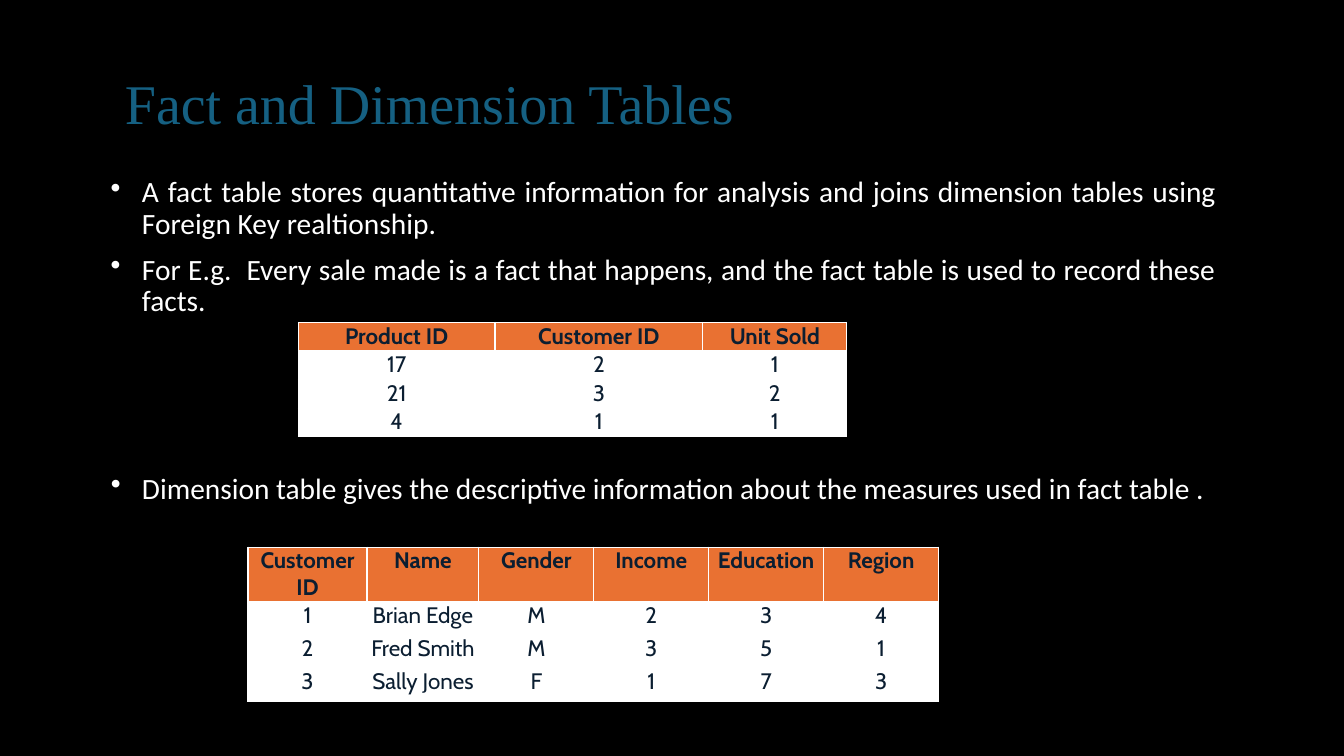
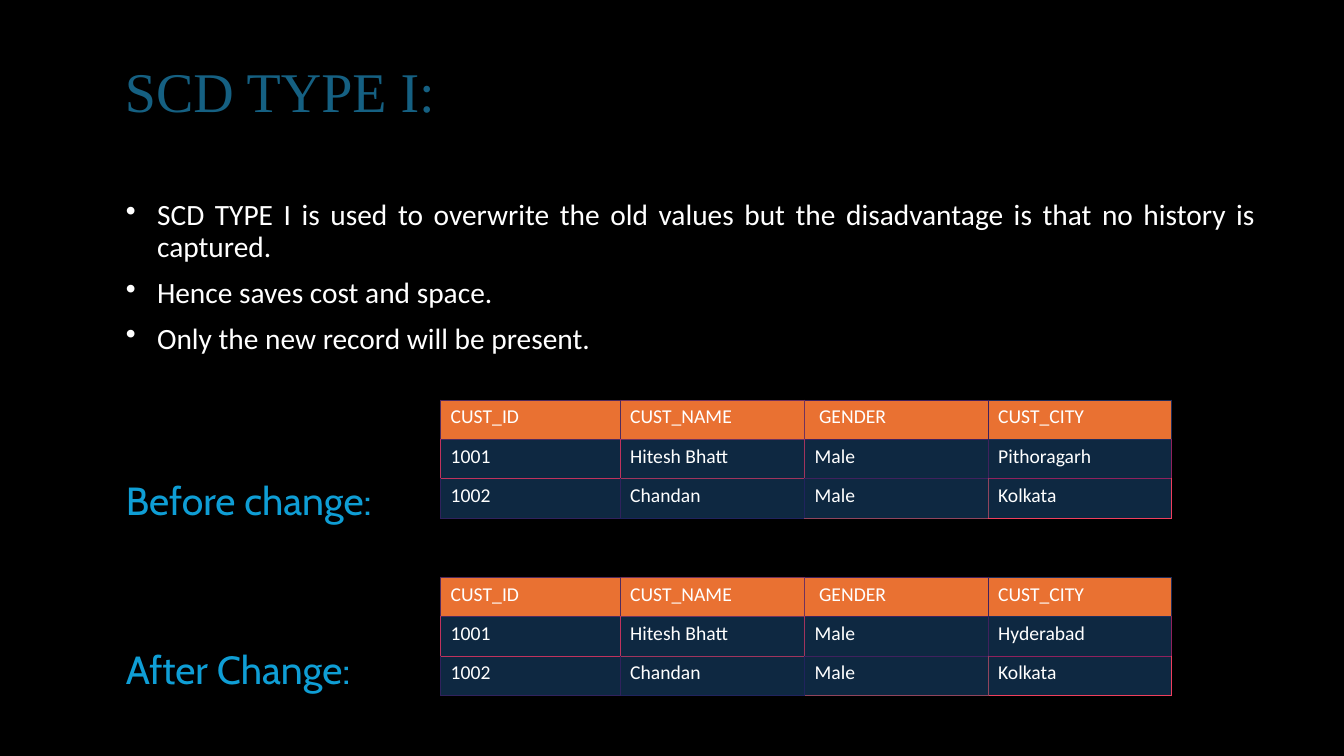
import dataclasses

import pptx
import pptx.dml.color
import pptx.enum.text
import pptx.oxml.ns
import pptx.util
from lxml import etree

Inches = pptx.util.Inches
Pt = pptx.util.Pt
qn = pptx.oxml.ns.qn
Align = pptx.enum.text.PP_ALIGN
color = pptx.dml.color.RGBColor.from_string


@dataclasses.dataclass(frozen=True)
class Theme:
    background: str = "000000"
    title: str = "156082"
    label: str = "0F9ED5"
    light: str = "FFFFFF"
    dark: str = "0B1E31"
    header: str = "E97132"
    navy: str = "0E2841"
    title_font: str = "Times New Roman"
    body_font: str = "Calibri"
    label_font: str = "Cabin"
    title_size: float = 40
    body_size: float = 21
    label_size: float = 28
    key_table_size: float = 16
    record_table_size: float = 14


theme = Theme()


def add_text(page, place, lines, font, size, ink, align=Align.LEFT, bullet=False):
    box = page.shapes.add_textbox(*[Inches(length) for length in place])
    frame = box.text_frame
    frame.word_wrap = True
    for index, line in enumerate(lines):
        para = frame.paragraphs[0] if index == 0 else frame.add_paragraph()
        para.text = line
        para.alignment = align
        para.line_spacing = 0.9
        para.space_before = Pt(10 if index else 0)
        para.font.name = font
        para.font.size = Pt(size)
        para.font.color.rgb = color(ink)
        if bullet:
            properties = para._p.get_or_add_pPr()
            properties.set("marL", str(Inches(0.31)))
            properties.set("indent", str(-Inches(0.31)))
            mark = etree.Element(qn("a:buChar"), char="•")
            properties.insert_element_before(mark, "a:tabLst", "a:defRPr", "a:extLst")


def add_grid(page, left, top, widths, heights, rows, style):
    frame = page.shapes.add_table(
        len(rows), len(widths), Inches(left), Inches(top),
        Inches(sum(widths)), Inches(sum(heights)))
    table = frame.table
    for column, width in zip(table.columns, widths):
        column.width = Inches(width)
    for row, height in zip(table.rows, heights):
        row.height = Inches(height)
    edges = style["edges"]
    for r, values in enumerate(rows):
        for c, value in enumerate(values):
            cell = table.cell(r, c)
            if style["tight"]:
                cell.margin_left = cell.margin_right = 0
                cell.margin_top = cell.margin_bottom = 0
            # Each cell takes its left and top edge from its neighbours
            own = edges[r][c]
            sides = {"L": edges[r][max(c - 1, 0)], "R": own,
                     "T": edges[max(r - 1, 0)][c], "B": own}
            for side, ink in sides.items():
                line = etree.SubElement(cell._tc.get_or_add_tcPr(), qn("a:ln" + side),
                                        w=str(Pt(style["edge_width"])))
                solid = etree.SubElement(line, qn("a:solidFill"))
                etree.SubElement(solid, qn("a:srgbClr"), val=ink)
            cell.fill.solid()
            cell.fill.fore_color.rgb = color(style["body_fill"] if r else theme.header)
            para = cell.text_frame.paragraphs[0]
            para.text = value
            para.alignment = style["align"]
            para.font.name = style["font"]
            para.font.size = Pt(style["size"])
            para.font.bold = style["bold_header"] and r == 0
            para.font.color.rgb = color(style["ink"])


# Table styles
key_style = dict(
    tight=True, edges=[[theme.light] * 6] * 4, edge_width=1, body_fill=theme.light,
    align=Align.CENTER, font=theme.label_font, size=theme.key_table_size,
    bold_header=True, ink=theme.dark)
record_style = dict(
    tight=False, edge_width=0.75, body_fill=theme.navy,
    edges=[["502A5D", "70325D", "40215D", "202D5D"],
           ["C0325D", "A0345D", "40215D", "90215D"],
           ["30225D", "20235D", "90445D", "F03E5D"]],
    align=Align.LEFT, font=theme.body_font, size=theme.record_table_size,
    bold_header=False, ink=theme.light)

# Deck with a shared background and titled pages
deck = pptx.Presentation()
deck.slide_width, deck.slide_height = Inches(13.33), Inches(7.5)
backdrop = deck.slide_master.background.fill
backdrop.solid()
backdrop.fore_color.rgb = color(theme.background)

pages = []
for title, title_top in [("Fact and Dimension Tables", 0.71), ("SCD TYPE I:", 0.59)]:
    page = deck.slides.add_slide(deck.slide_layouts[6])
    add_text(page, (1.14, title_top, 9.38, 0.7), [title],
             theme.title_font, theme.title_size, theme.title)
    pages.append(page)
tables_page, type_page = pages

# Bullets
bullet_groups = [
    (tables_page, (1, 1.71, 11.16, 1.5), Align.JUSTIFY, [
        "A fact table stores quantitative information for analysis and joins "
        "dimension tables using Foreign Key realtionship.",
        "For E.g.  Every sale made is a fact that happens, and the fact table "
        "is used to record these facts."]),
    (tables_page, (1, 4.65, 11.28, 0.5), Align.LEFT, [
        "Dimension table gives the descriptive information about the measures "
        "used in fact table ."]),
    (type_page, (1.15, 1.94, 11.4, 1.7), Align.JUSTIFY, [
        "SCD TYPE I is used to overwrite the old values but the disadvantage "
        "is that no history is captured.",
        "Hence saves cost and space.",
        "Only the new record will be present."]),
]
for page, place, align, lines in bullet_groups:
    add_text(page, place, lines, theme.body_font, theme.body_size, theme.light,
             align, bullet=True)

# Fact table and dimension table
add_grid(tables_page, 2.96, 3.2, [1.95, 2.06, 1.43], [0.28, 0.29, 0.28, 0.28], [
    ["Product ID", "Customer ID", "Unit Sold"],
    ["17", "2", "1"],
    ["21", "3", "2"],
    ["4", "1", "1"],
], key_style)
add_grid(tables_page, 2.46, 5.43, [1.18, 1.11] + [1.14] * 4, [0.54] + [0.33] * 3, [
    ["Customer ID", "Name", "Gender", "Income", "Education", "Region"],
    ["1", "Brian Edge", "M", "2", "3", "4"],
    ["2", "Fred Smith", "M", "3", "5", "1"],
    ["3", "Sally Jones", "F", "1", "7", "3"],
], key_style)

# Records before and after the change
for label, label_top, table_top, first_city in [
        ("Before change:", 4.73, 3.97, "Pithoragarh"),
        ("After Change:", 6.41, 5.73, "Hyderabad")]:
    add_text(type_page, (1.15, label_top, 3.1, 0.53), [label],
             theme.label_font, theme.label_size, theme.label)
    add_grid(type_page, 4.37, table_top, [1.78, 1.83, 1.82, 1.82], [0.39] * 3, [
        ["CUST_ID", "CUST_NAME", " GENDER", "CUST_CITY"],
        ["1001", "Hitesh Bhatt", "Male", first_city],
        ["1002", "Chandan", "Male", "Kolkata"],
    ], record_style)

deck.save("out.pptx")
